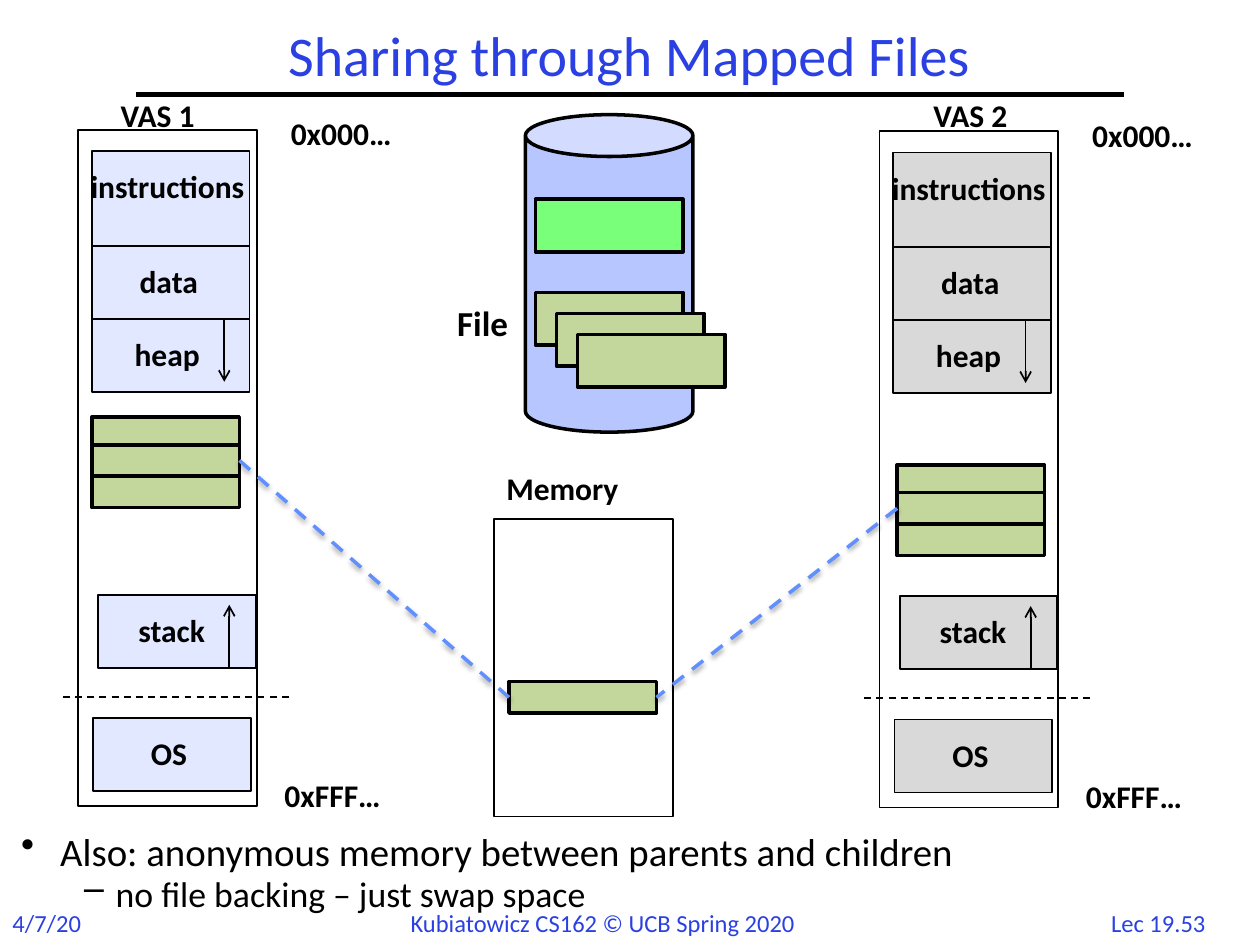
from pptx import Presentation
from pptx.dml.color import RGBColor
from pptx.enum import dml, shapes as kinds, text as txt
from pptx.oxml import parse_xml
from pptx.oxml.ns import nsdecls, qn
from pptx.util import Inches, Pt

BLACK, BLUE, PAGE = "000000", "2A40E2", "C3D69B"
RECT = kinds.MSO_SHAPE.RECTANGLE
PAGE_W = 1.17

TITLE = "Sharing through Mapped Files"
FOOTERS = [  # text, left, width
    ("Lec 19.53", 8.72, 1.03),
    ("4/7/20", 0, 0.75),
    ("Kubiatowicz CS162 © UCB Spring 2020", 3.16, 3.68),
]
BULLETS = [  # text, size, mark, left margin, hang, level
    ("Also: anonymous memory between parents and children", 22.2, "•", 0.31, 0.31, 0),
    ("no file backing – just swap space", 20.4, "–", 0.75, 0.25, 1),
]
SPACES = [  # name, left, top, fill, top of mapped pages, left of pages
    ("VAS 2", 6.98, 1.04, "D9D9D9", 3.69, 7.12),
    ("VAS 1", 0.62, 1.03, "E2E8FF", 3.31, 0.73),
]
# Offsets from the corner of an address space
PARTS = [  # label, box left, box top, box height, label left, label width
    ("instructions", 0.11, 0.17, 0.75, 0, 1.65),
    ("data", 0.11, 0.92, 0.58, 0.39, 0.72),
    ("heap", 0.11, 1.5, 0.58, 0.35, 0.79),
    ("stack", 0.16, 3.69, 0.58, 0.38, 0.85),
    ("OS", 0.12, 4.67, 0.58, 0.48, 0.57),
]
ENDS = [("0x000…", 1.59, -0.17, 1.16), ("0xFFF…", 1.54, 5.08, 1.2)]
ARROWS = [(1.2, 4.27, 3.77), (1.16, 1.5, 2.0)]  # x, from y, to y

prs = Presentation()
prs.slide_width, prs.slide_height = Inches(10), Inches(7.5)
slide = prs.slides.add_slide(prs.slide_layouts[5])


def color(code):
    return RGBColor.from_string(code)


def style(para, words, size=18, ink=BLACK, bold=False, align=None):
    run = para.add_run()
    run.text = words
    font = run.font
    font.name, font.size, font.bold = "Calibri", Pt(size), bold
    font.color.rgb = color(ink)
    para.alignment = align


def label(words, x, y, w, h=0.4, bold=True, **fmt):
    box = slide.shapes.add_textbox(*map(Inches, (x, y, w, h)))
    box.text_frame.word_wrap = False
    style(box.text_frame.paragraphs[0], words, bold=bold, **fmt)


def block(x, y, w, h, fill=None, width=1, kind=RECT):
    item = slide.shapes.add_shape(kind, *map(Inches, (x, y, w, h)))
    item.shadow.inherit = False
    if fill:
        item.fill.solid()
        item.fill.fore_color.rgb = color(fill)
    else:
        item.fill.background()
    item.line.color.rgb = color(BLACK)
    item.line.width = Pt(width)
    return item


def page(x, y, h=0.25, fill=PAGE):
    return block(x, y, PAGE_W, h, fill, 2)


def line(x1, y1, x2, y2, ink=BLACK, width=1, dash=False, arrow=False, shadow=False):
    item = slide.shapes.add_connector(
        kinds.MSO_CONNECTOR.STRAIGHT, *map(Inches, (x1, y1, x2, y2)))
    item.line.color.rgb = color(ink)
    item.line.width = Pt(width)
    if dash:
        item.line.dash_style = dml.MSO_LINE.DASH
    if arrow:
        item.line._get_or_add_ln().append(
            parse_xml(f'<a:tailEnd {nsdecls("a")} type="arrow"/>'))
    shade = (
        f'<a:outerShdw blurRad="{Pt(3.1)}" dist="{Pt(1.6)}" dir="5400000" rotWithShape="0">'
        '<a:srgbClr val="000000"><a:alpha val="38000"/></a:srgbClr></a:outerShdw>'
    ) if shadow else ""
    item._element.spPr.append(
        parse_xml(f'<a:effectLst {nsdecls("a")}>{shade}</a:effectLst>'))
    return item


def link(start, side, end, into):
    """Join two pages with a dashed, shadowed line."""
    item = line(0, 0, 1, 1, "618FFD", 2, dash=True, shadow=True)
    item.begin_connect(start, side)
    item.end_connect(end, into)


def space(name, x, y, fill):
    """Draw one virtual address space."""
    block(x, y, 1.42, 5.37)
    for words, dx, dy, w in ENDS:
        label(words, x + dx, y + dy, w)
    for words, dx, dy, h, tx, w in PARTS:
        block(x + dx, y + dy, 1.25, h, fill)
        label(words, x + tx, y + dy + 0.08, w)
    for dx, start, end in ARROWS:
        line(x + dx, y + start, x + dx, y + end, arrow=True)
    line(x - 0.12, y + 4.5, x + 1.71, y + 4.5, dash=True)
    label(name, x + 0.24 + (0.09 if x > 5 else 0), 0.71, 0.91)


# Title, rule and footers
for words, x, w in FOOTERS:
    label(words, x, 7.16, w, 0.34, bold=False, size=14, ink=BLUE)
line(1.08, 0.75, 8.92, 0.75, width=3)
title = slide.shapes.title
title.left, title.top, title.width, title.height = map(Inches, (1.08, 0.17, 7.83, 0.58))
title.text_frame.vertical_anchor = txt.MSO_ANCHOR.MIDDLE
head = title.text_frame.paragraphs[0]
style(head, TITLE, size=32, ink=BLUE, align=txt.PP_ALIGN.CENTER)
head.line_spacing = 0.9

# Bullets
body = slide.shapes.add_textbox(*map(Inches, (0.07, 6.62, 9.93, 0.73))).text_frame
body.word_wrap = True
for i, (words, size, mark, left, hang, level) in enumerate(BULLETS):
    para = body.add_paragraph() if i else body.paragraphs[0]
    style(para, words, size=size)
    para.level, para.line_spacing, para.space_before = level, 0.7, Pt(round(size * 0.3, 1))
    props = para._p.get_or_add_pPr()
    props.set("marL", str(Inches(left)))
    props.set("indent", str(-Inches(hang)))
    props.append(props.makeelement(qn("a:buChar"), {"char": mark}))

# File on disk
disk = block(4.17, 0.91, 1.33, 2.52, "B7C6FE", 2, kinds.MSO_SHAPE.CAN)
disk.adjustments[0] = 0.25
page(4.25, 1.58, 0.42, "79FF79")
for i in range(3):
    page(4.25 + i / 6, 2.32 + i / 6, 0.42)
label("File", 3.53, 2.34, 0.68, 0.44, size=20)

# Address spaces with their mapped pages
shared = []
for name, x, y, fill, top, left in SPACES:
    space(name, x, y, fill)
    pages = [page(left, top + dy) for dy in (0, 0.22, 0.47)]
    shared.append(pages[1])

# Memory
block(3.92, 4.12, 1.42, 2.36)
frame = page(4.04, 5.41)
right, left = shared
link(left, 3, frame, 1)
link(right, 1, frame, 3)
label("Memory", 3.92, 3.67, 1.17)

prs.save("out.pptx")
